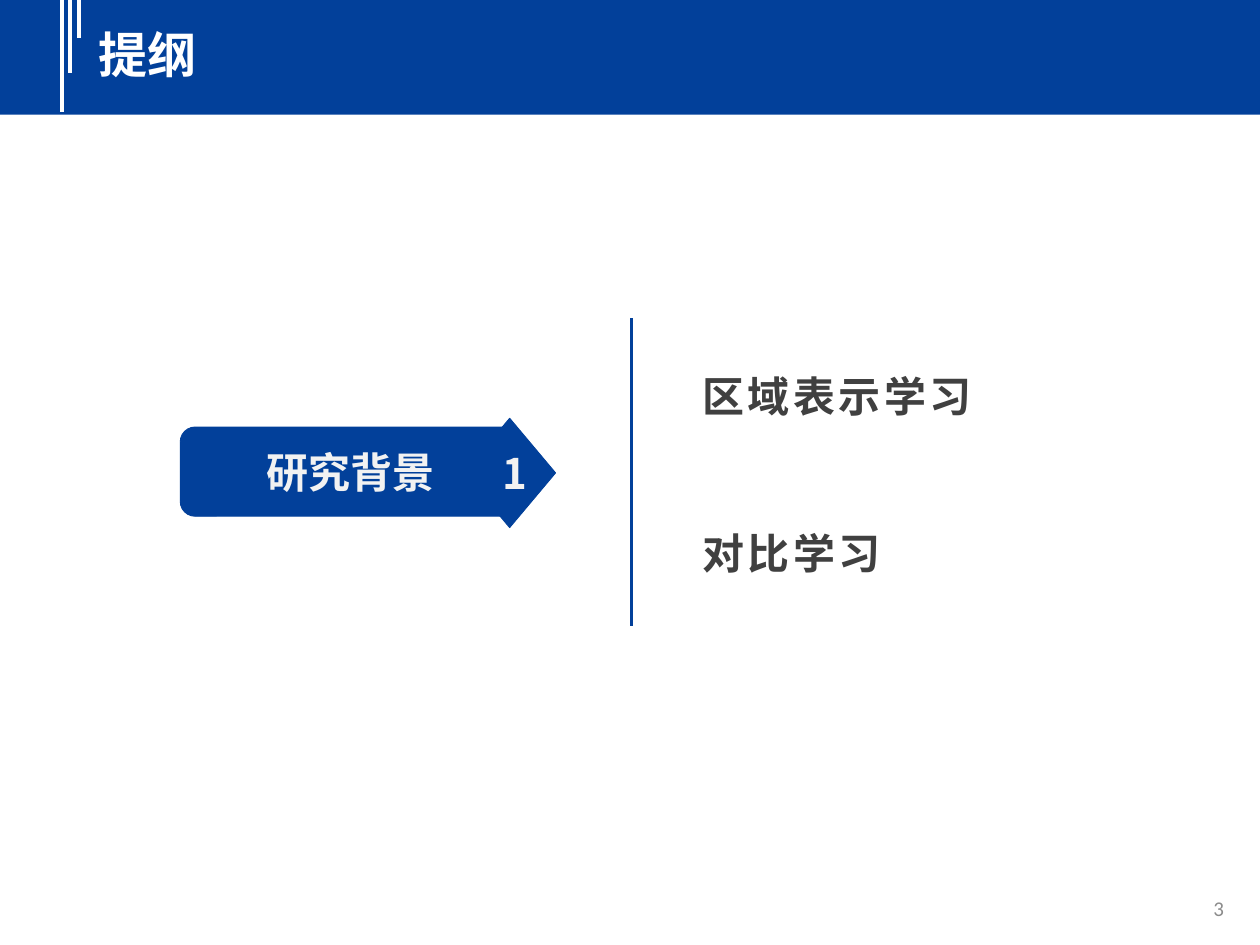
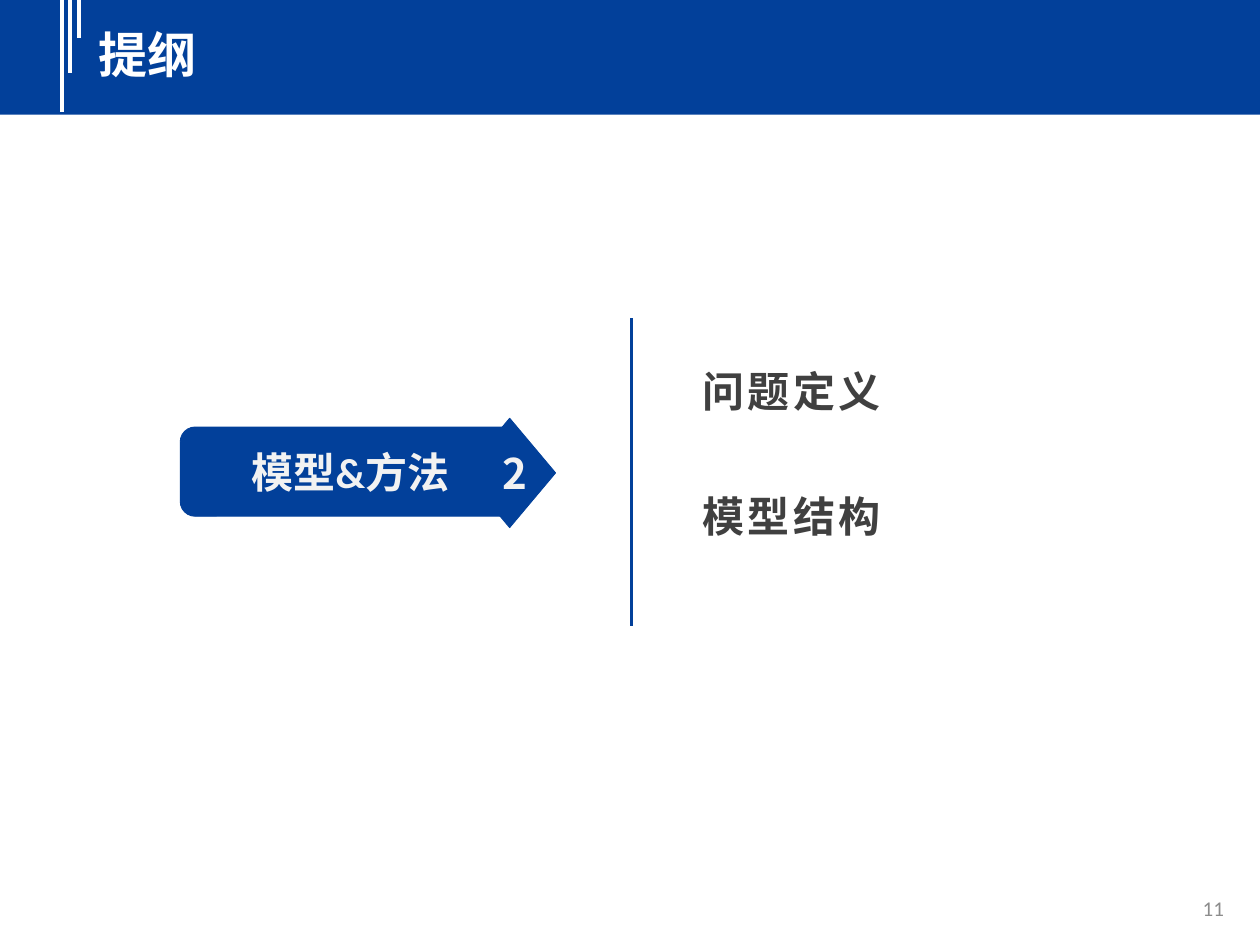
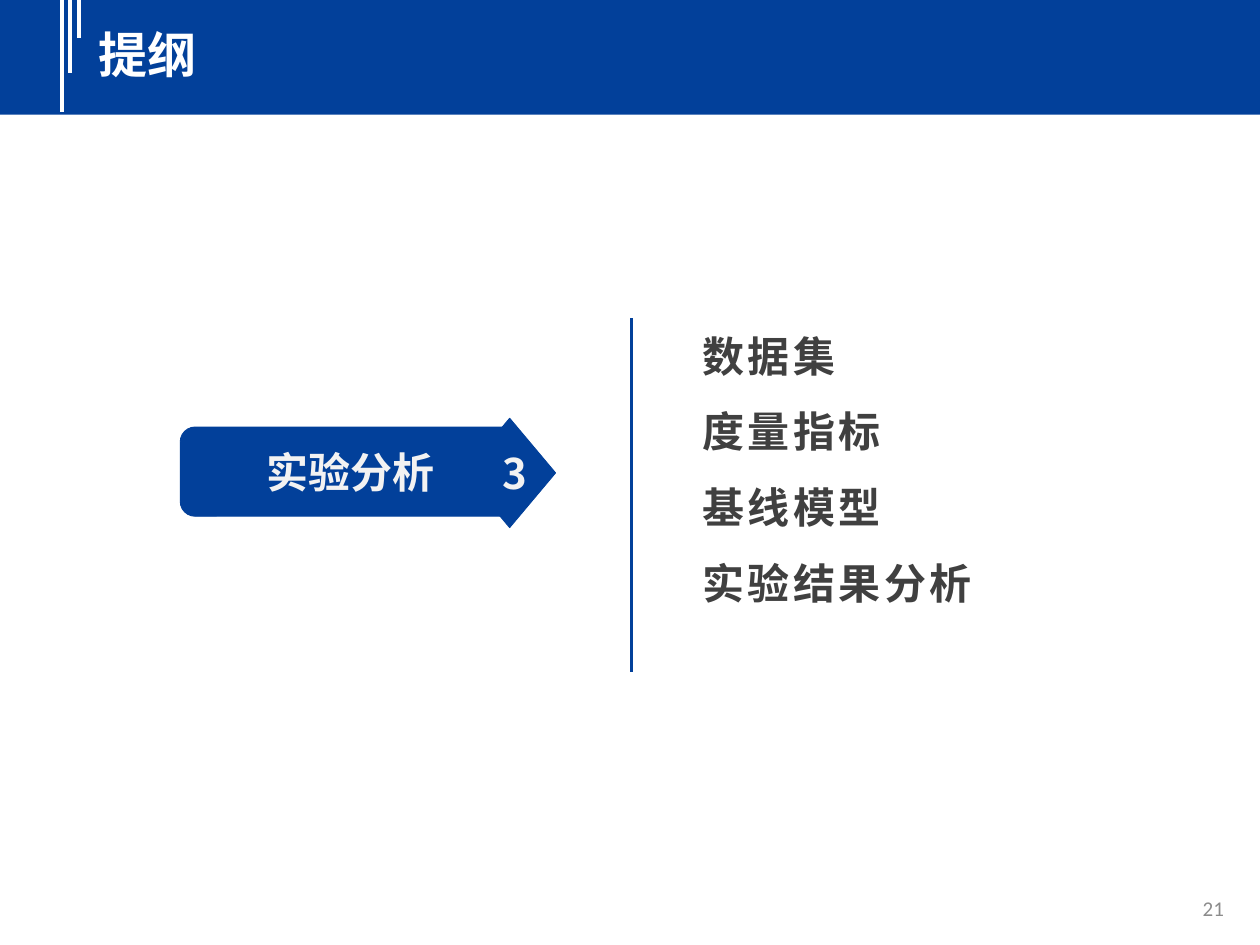
import pptx
import pptx.util
import pptx.dml.color
import pptx.enum.shapes
import pptx.enum.text
import pptx.oxml.ns
from lxml import etree

Pt = pptx.util.Pt
RGB = pptx.dml.color.RGBColor
KIND = pptx.enum.shapes.MSO_SHAPE
ALIGN = pptx.enum.text.PP_ALIGN
ANCHOR = pptx.enum.text.MSO_ANCHOR
FIT = pptx.enum.text.MSO_AUTO_SIZE
qn = pptx.oxml.ns.qn

BLUE = RGB(0x02, 0x40, 0x9A)
WHITE = RGB(0xFF, 0xFF, 0xFF)
PALE = RGB(0xF2, 0xF2, 0xF2)
DARK = RGB(0x40, 0x40, 0x40)
GRAY = RGB(0x8C, 0x8C, 0x8C)
HAN = "Noto Sans CJK SC"
LATIN = "Calibri"

TITLE = {"name": HAN, "size": Pt(28), "bold": True, "color": WHITE}
ITEM = {"name": HAN, "size": Pt(24), "bold": True, "color": DARK}
LABEL = {"name": LATIN, "size": Pt(24), "bold": True, "color": PALE}
NUMBER = {**LABEL, "name": HAN}
PAGE = {"name": LATIN, "size": Pt(12), "bold": False, "color": GRAY}

LINE_HEIGHT = 34.75

PARTS = [
    {"page": "3", "label": "研究背景", "number": " 1", "top": 208, "step": 95.75,
     "end": 358, "items": ["区域表示学习", "对比学习"]},
    {"page": "11", "label": "模型&方法", "number": " 2", "top": 205, "step": 77.75,
     "end": 358, "items": ["问题定义", "模型结构"]},
    {"page": "21", "label": "实验分析", "number": " 3", "top": 185, "step": 49.25,
     "end": 384, "items": ["数据集", "度量指标", "基线模型", "实验结果分析"]},
]


def write(para, text, form, align=ALIGN.LEFT, gap=0):
    run = para.add_run()
    run.text = text
    para.alignment = align
    para.space_before = Pt(gap)
    for key, value in form.items():
        if key == "color":
            run.font.color.rgb = value
        else:
            setattr(run.font, key, value)
    etree.SubElement(run.font._element, qn("a:ea"), typeface=HAN)
    return run


def set_frame(frame, anchor, wrap=True):
    values = {"auto_size": FIT.NONE, "word_wrap": wrap, "vertical_anchor": anchor}
    for key, value in values.items():
        setattr(frame, key, value)


def place(shape, *box):
    for key, value in zip(("left", "top", "width", "height"), box):
        setattr(shape, key, Pt(value))


def add_line(slide, x, top, end, color, width):
    line = slide.shapes.add_connector(
        pptx.enum.shapes.MSO_CONNECTOR.STRAIGHT, Pt(x), Pt(top), Pt(x), Pt(end))
    line.line.color.rgb = color
    line.line.width = Pt(width)
    etree.SubElement(line._element.spPr, qn("a:effectLst"))


def add_block(shapes, kind, *box):
    block = shapes.add_shape(kind, *map(Pt, box))
    block.shadow.inherit = False
    block.fill.solid()
    block.fill.fore_color.rgb = BLUE
    block.line.color.rgb = BLUE
    block.line.width = Pt(0.5)
    return block


def add_label(shapes, kind, text, form, *box):
    block = add_block(shapes, kind, *box)
    set_frame(block.text_frame, ANCHOR.MIDDLE, False)
    write(block.text_frame.paragraphs[0], text, form, ALIGN.CENTER)
    return block


def add_header(slide, text):
    band = add_block(slide.shapes, KIND.RECTANGLE, 0, -2, 720, 67.5)
    band.line.fill.background()
    for i, end in enumerate((64, 41.75, 21.5)):
        add_line(slide, 35.25 + 5 * i, -2, end, WHITE, 2.25)
    title = slide.shapes.title
    place(title, 49, 10.5, 656.5, 41)
    set_frame(title.text_frame, ANCHOR.TOP)
    write(title.text_frame.paragraphs[0], text, TITLE)
    slide.shapes._spTree.append(title._element)


def add_arrow(slide, label, number):
    group = slide.shapes.add_group_shape()
    bar = add_label(group.shapes, KIND.ROUNDED_RECTANGLE, label, LABEL,
                    103, 244, 194.5, 51)
    bar.adjustments[0] = 0.167
    add_label(group.shapes, KIND.DIAMOND, number, NUMBER, 265, 239, 52.5, 62.5)


def add_list(slide, items, top, step):
    body = slide.placeholders[1]
    place(body, 394, top, 186, step * (len(items) - 1) + 42)
    set_frame(body.text_frame, ANCHOR.TOP)
    for i, text in enumerate(items):
        para = body.text_frame.add_paragraph() if i else body.text_frame.paragraphs[0]
        props = para._p.get_or_add_pPr()
        props.set("marL", "0")
        props.set("indent", "0")
        etree.SubElement(props, qn("a:buNone"))
        run = write(para, text, ITEM, gap=step - LINE_HEIGHT if i else 0)
        run.font._element.set("spc", "200")


def add_page(slide, text):
    box = slide.shapes.add_textbox(Pt(664), Pt(504.75), Pt(42.5), Pt(28.75))
    set_frame(box.text_frame, ANCHOR.MIDDLE)
    write(box.text_frame.paragraphs[0], text, PAGE, ALIGN.RIGHT)


def main():
    deck = pptx.Presentation()
    deck.slide_width, deck.slide_height = Pt(720), Pt(540)
    for part in PARTS:
        slide = deck.slides.add_slide(deck.slide_layouts[1])
        add_page(slide, part["page"])
        add_list(slide, part["items"], part["top"], part["step"])
        add_line(slide, 360.75, 182, part["end"], BLUE, 1.5)
        add_header(slide, "提纲")
        add_arrow(slide, part["label"], part["number"])
    deck.save("out.pptx")


if __name__ == "__main__":
    main()
